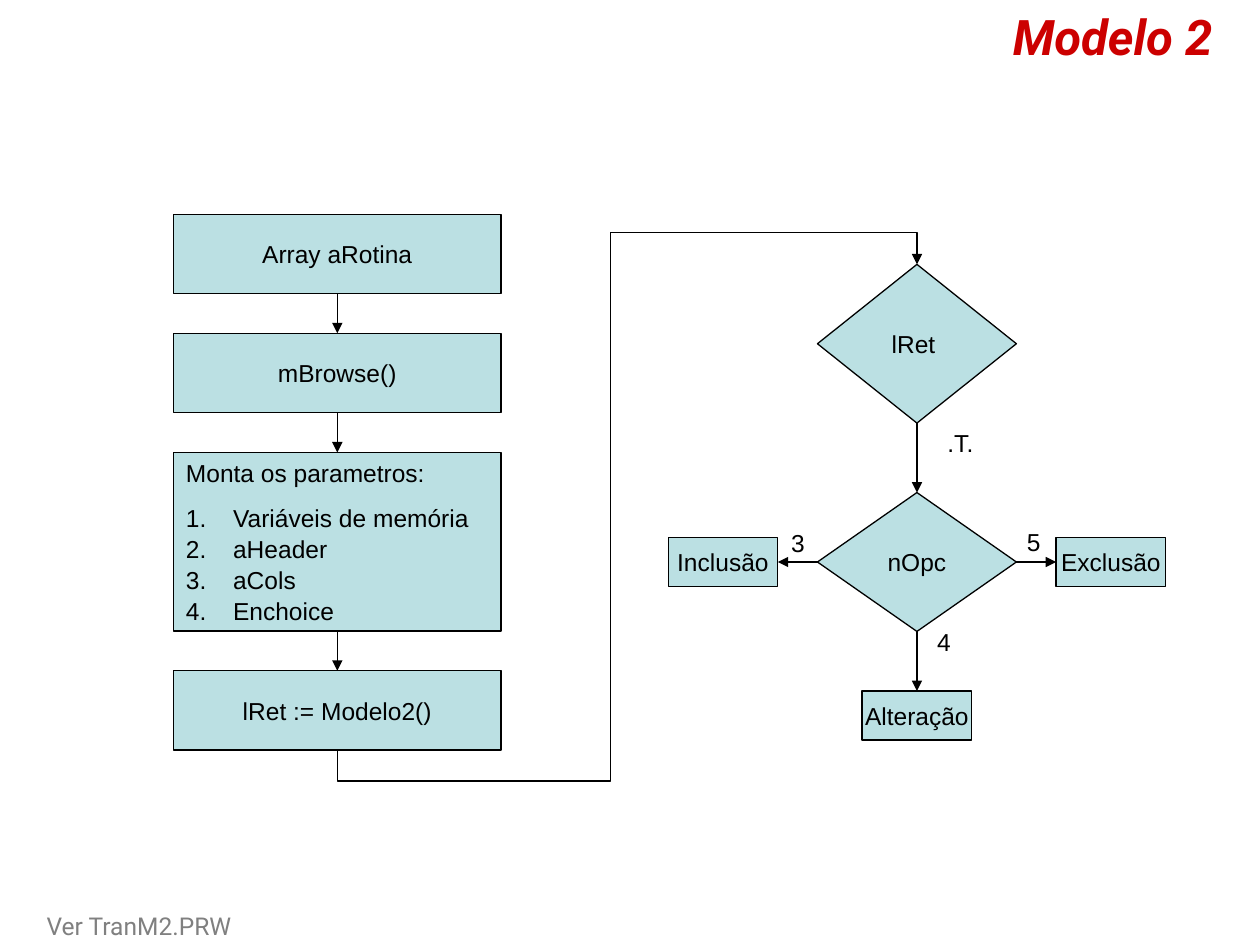
from dataclasses import dataclass

from lxml.etree import SubElement
from pptx import Presentation
from pptx.dml.color import RGBColor
from pptx.enum.shapes import MSO_CONNECTOR, MSO_SHAPE
from pptx.enum.text import MSO_ANCHOR, PP_ALIGN
from pptx.oxml.ns import qn
from pptx.util import Cm, Pt


@dataclass(frozen=True)
class Theme:
    fill: RGBColor = RGBColor(0xBB, 0xE0, 0xE3)
    ink: RGBColor = RGBColor(0, 0, 0)
    title: RGBColor = RGBColor(0xCC, 0, 0)
    footer: RGBColor = RGBColor(0x80, 0x80, 0x80)
    body_font: str = "Arial"
    title_font: str = "Roboto"
    body_size: Pt = Pt(14)
    title_size: Pt = Pt(28)
    stroke: Pt = Pt(0.75)


THEME = Theme()
TITLE = "Modelo 2"
FOOTER = "Ver TranM2.PRW"
PARAMETERS = ["Variáveis de memória", "aHeader", "aCols", "Enchoice"]
STEPS = [
    ("Array aRotina", 1.6),
    ("mBrowse()", 1.6),
    ("Monta os parametros:", 3.6),
    ("lRet := Modelo2()", 1.6),
]
LABELS = [
    (".T.", 18.85, 8.51, 1.09),
    ("3", 15.7, 10.52, 0.79),
    ("4", 18.64, 12.52, 0.79),
    ("5", 20.45, 10.5, 0.79),
]

STEP_LEFT, STEP_TOP, STEP_WIDTH, STEP_GAP = 3.5, 4.32, 6.6, 0.8
DECISION_LEFT, DECISION_WIDTH = 16.48, 4.01
RETURN_TOP, RETURN_HEIGHT = 5.33, 3.2
OPTION_TOP, OPTION_HEIGHT = 9.93, 2.8
ACTION_WIDTH, ACTION_HEIGHT = 2.21, 0.99
SIDE_GAP, LOWER_GAP = 0.8, 1.2
LIST_INDENT = Cm(0.95)
TOP, LEFT, BOTTOM, RIGHT = range(4)

deck = Presentation()
deck.slide_width, deck.slide_height = Cm(25.4), Cm(19.05)
slide = deck.slides.add_slide(deck.slide_layouts[6])


def style_font(font, color=THEME.ink, name=THEME.body_font, size=THEME.body_size):
    font.name, font.size = name, size
    font.color.rgb = color


def add_node(text, left, top, width, height, preset=MSO_SHAPE.RECTANGLE):
    node = slide.shapes.add_shape(preset, Cm(left), Cm(top), Cm(width), Cm(height))
    node.shadow.inherit = False
    node.fill.solid()
    node.fill.fore_color.rgb = THEME.fill
    node.line.color.rgb = THEME.ink
    node.line.width = THEME.stroke
    frame = node.text_frame
    frame.word_wrap = False
    frame.vertical_anchor = MSO_ANCHOR.MIDDLE
    frame.text = text
    frame.paragraphs[0].alignment = PP_ALIGN.CENTER
    style_font(frame.paragraphs[0].runs[0].font)
    return node


def add_label(text, left, top, width, height=0.86, wrap=False):
    label = slide.shapes.add_textbox(Cm(left), Cm(top), Cm(width), Cm(height))
    label.text_frame.word_wrap = wrap
    label.text_frame.text = text
    paragraph = label.text_frame.paragraphs[0]
    style_font(paragraph.runs[0].font)
    return paragraph


def add_arrow(source, source_side, target, target_side, kind=MSO_CONNECTOR.STRAIGHT):
    arrow = slide.shapes.add_connector(kind, 0, 0, 0, 0)
    arrow.begin_connect(source, source_side)
    arrow.end_connect(target, target_side)
    arrow.line.color.rgb = THEME.ink
    arrow.line.width = THEME.stroke
    SubElement(arrow.line._get_or_add_ln(), qn("a:tailEnd"), type="triangle")
    SubElement(arrow._element.spPr, qn("a:effectLst"))
    return arrow


def add_return_route(source, target):
    route = add_arrow(source, BOTTOM, target, TOP, MSO_CONNECTOR.ELBOW)
    across, rise = route.width, route.height
    center_x, center_y = route.left + across // 2, route.top + rise // 2
    route.left, route.top = center_x - rise // 2, center_y - across // 2
    route.width, route.height = rise, across
    properties = route._element.spPr
    frame = properties.find(qn("a:xfrm"))
    for key, value in (("rot", "5400000"), ("flipH", "1"), ("flipV", "1")):
        frame.set(key, value)
    geometry = properties.find(qn("a:prstGeom"))
    geometry.set("prst", "bentConnector5")
    guides = geometry.find(qn("a:avLst"))
    for number, value in enumerate((-6400, 47100, 106500), 1):
        SubElement(guides, qn("a:gd"), name=f"adj{number}", fmla=f"val {value}")


def add_parameter_list(node):
    frame = node.text_frame
    frame.word_wrap = True
    heading = frame.paragraphs[0]
    heading.alignment = PP_ALIGN.LEFT
    heading.space_after = Pt(8.8)
    for parameter in PARAMETERS:
        item = frame.add_paragraph()
        item.text = parameter
        item.alignment = PP_ALIGN.LEFT
        item.space_after = Pt(0.8)
        properties = item._p.get_or_add_pPr()
        properties.set("marL", str(LIST_INDENT))
        properties.set("indent", str(-LIST_INDENT))
        SubElement(properties, qn("a:buFont"), typeface=THEME.body_font)
        SubElement(properties, qn("a:buAutoNum"), type="arabicPeriod")
        style_font(item.runs[0].font)


steps = []
step_top = STEP_TOP
for text, height in STEPS:
    steps.append(add_node(text, STEP_LEFT, step_top, STEP_WIDTH, height))
    step_top += height + STEP_GAP
add_parameter_list(steps[2])

return_check = add_node("lRet ", DECISION_LEFT, RETURN_TOP, DECISION_WIDTH,
                        RETURN_HEIGHT, MSO_SHAPE.FLOWCHART_DECISION)
option_check = add_node("nOpc", DECISION_LEFT, OPTION_TOP, DECISION_WIDTH,
                        OPTION_HEIGHT, MSO_SHAPE.FLOWCHART_DECISION)

side_top = OPTION_TOP + (OPTION_HEIGHT - ACTION_HEIGHT) / 2
actions = [
    ("Inclusão", DECISION_LEFT - SIDE_GAP - ACTION_WIDTH, side_top, LEFT, RIGHT),
    ("Alteração", DECISION_LEFT + (DECISION_WIDTH - ACTION_WIDTH) / 2,
     OPTION_TOP + OPTION_HEIGHT + LOWER_GAP, BOTTOM, TOP),
    ("Exclusão", DECISION_LEFT + DECISION_WIDTH + SIDE_GAP, side_top, RIGHT, LEFT),
]
for text, left, top, exit_side, entry_side in actions:
    action = add_node(text, left, top, ACTION_WIDTH, ACTION_HEIGHT)
    add_arrow(option_check, exit_side, action, entry_side)

for label in LABELS:
    add_label(*label)

title = add_label(TITLE, 0.69, 0, 24, 1.45, wrap=True)
title.alignment = PP_ALIGN.RIGHT
title_font = title.runs[0].font
style_font(title_font, THEME.title, THEME.title_font, THEME.title_size)
title_font.bold = title_font.italic = True

footer = add_label(FOOTER, 0.69, 18.25, 12.7, wrap=True)
style_font(footer.runs[0].font, THEME.footer, THEME.title_font)

for upper, lower in zip(steps, steps[1:]):
    add_arrow(upper, BOTTOM, lower, TOP)
add_arrow(return_check, BOTTOM, option_check, TOP)
add_return_route(steps[-1], return_check)

deck.save("out.pptx")
